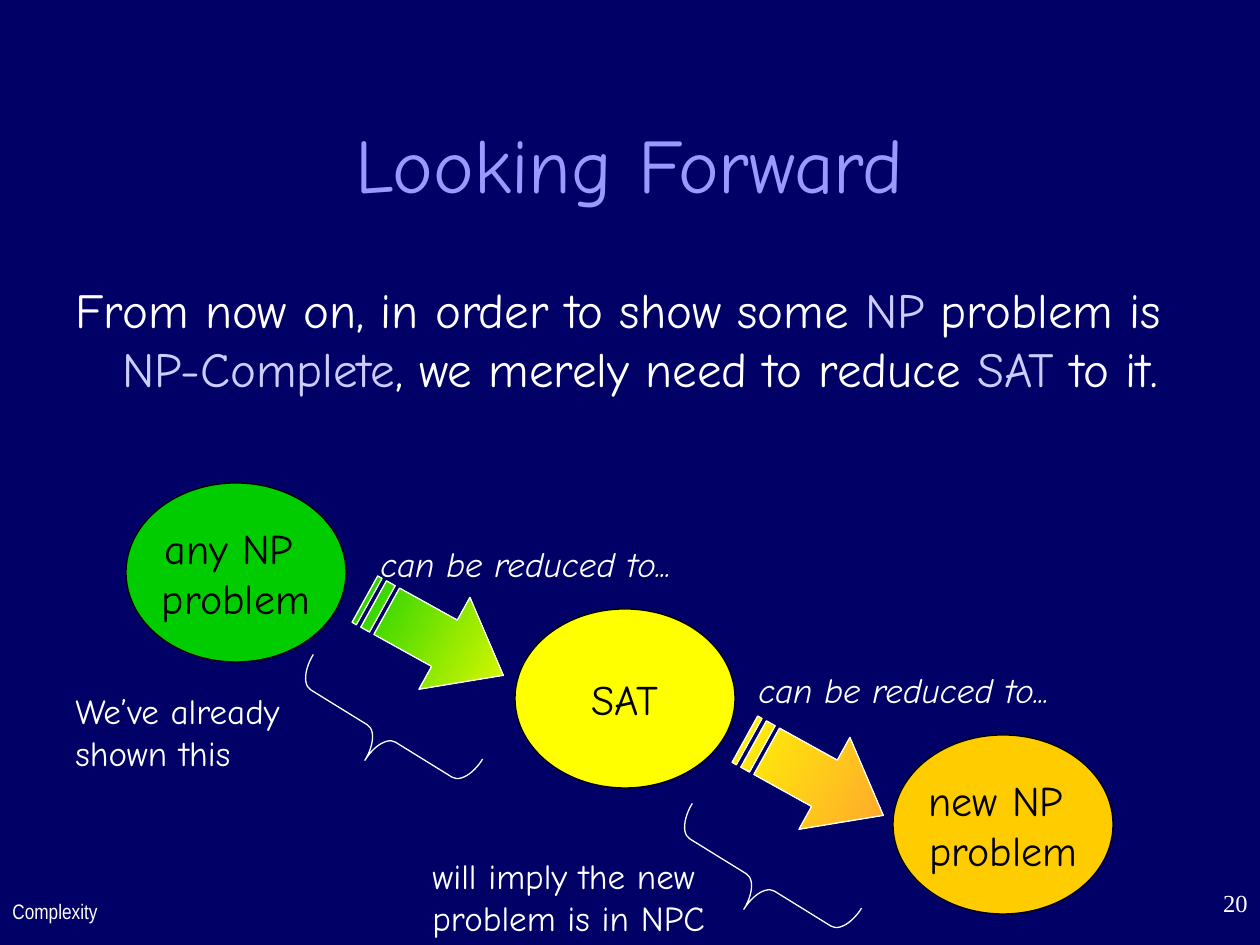
from pptx import Presentation
from pptx.dml.color import RGBColor
from pptx.enum.shapes import MSO_SHAPE
from pptx.enum.text import MSO_ANCHOR, MSO_AUTO_SIZE, PP_ALIGN
from pptx.oxml.xmlchemy import OxmlElement
from pptx.util import Pt

SCALE = 914400 / 126
FONT = "Comic Neue"
COLOURS = {
    "navy": "000066", "title": "9999FF", "term": "CCCCFF", "white": "FFFFFF",
    "black": "000000", "green": "00CC00", "yellow": "FFFF00",
    "gold": "FFCC00", "orange": "FF9933",
}
NODE_SIZE = (220, 179)
ARROW_SIZE = (158, 105)
BRACE_SIZE = (63, 199)


def emu(pixels):
    """Turn pixels into EMU."""
    return round(pixels * SCALE)


def colour(name):
    """Look up a named colour."""
    return RGBColor.from_string(COLOURS[name])


def place(shape, box):
    """Move and size a shape to a pixel box."""
    shape.left, shape.top, shape.width, shape.height = map(emu, box)


def format_runs(text_frame, size, colour_name, font=FONT, italic=None):
    """Give every run the same font."""
    for paragraph in text_frame.paragraphs:
        for run in paragraph.runs:
            run.font.name, run.font.size = font, Pt(size)
            run.font.italic = italic
            run.font.color.rgb = colour(colour_name)


def outline(shape, colour_name):
    """Give a shape a thin line and no shadow."""
    shape.shadow.inherit = False
    shape.line.color.rgb = colour(colour_name)
    shape.line.width = Pt(0.74)


def add_title(slide, box, text):
    """Fill the title placeholder."""
    title = slide.shapes.title
    place(title, box)
    title.text_frame.text = text
    title.text_frame.auto_size = MSO_AUTO_SIZE.NONE
    title.text_frame.vertical_anchor = MSO_ANCHOR.MIDDLE
    format_runs(title.text_frame, 44, "title")


def add_statement(slide, box, parts):
    """Fill the body placeholder; every second part is a highlighted term."""
    body = slide.placeholders[1]
    place(body, box)
    body.text_frame.auto_size = MSO_AUTO_SIZE.NONE
    paragraph = body.text_frame.paragraphs[0]
    for part in parts:
        paragraph.add_run().text = part
    format_runs(body.text_frame, 28, "white")
    for run in paragraph.runs[1::2]:
        run.font.color.rgb = colour("term")
    paragraph.space_before = Pt(7)
    properties = paragraph._p.get_or_add_pPr()
    properties.set("marL", str(emu(47)))
    properties.set("indent", str(-emu(47)))
    properties.append(OxmlElement("a:buNone"))


def add_label(slide, box, text, size=20, font=FONT, italic=None,
              align=PP_ALIGN.LEFT, before=12.5):
    """Add a wrapped white text box."""
    label = slide.shapes.add_textbox(*map(emu, box))
    label.text_frame.word_wrap = True
    label.text_frame.text = text
    paragraph = label.text_frame.paragraphs[0]
    paragraph.alignment = align
    paragraph.space_before = Pt(before)
    format_runs(label.text_frame, size, "white", font, italic)


def add_node(slide, left, top, text, fill):
    """Add an ellipse naming a problem."""
    node = slide.shapes.add_shape(
        MSO_SHAPE.OVAL, *map(emu, (left, top, *NODE_SIZE)))
    node.fill.solid()
    node.fill.fore_color.rgb = colour(fill)
    outline(node, "black")
    frame = node.text_frame
    frame.text = text
    frame.word_wrap = False
    frame.vertical_anchor = MSO_ANCHOR.MIDDLE
    for paragraph in frame.paragraphs:
        paragraph.alignment = PP_ALIGN.CENTER
    format_runs(frame, 24, "black")


def add_striped_arrow(slide, left, top, start, end):
    """Add a slanted arrow with two stripes at its tail and a gradient."""
    width, height = ARROW_SIZE
    upper, lower, neck = height / 4, height * 3 / 4, width * 0.575
    tail = width * 5 / 32
    contours = [[(tail, upper), (neck, upper), (neck, 0), (width, height / 2),
                 (neck, height), (neck, lower), (tail, lower)]]
    for first, last in ((0, 1), (2, 4)):
        near, far = width * first / 32, width * last / 32
        contours.append([(near, upper), (far, upper),
                         (far, lower), (near, lower)])
    builder = slide.shapes.build_freeform(*contours[0][0], scale=SCALE)
    for contour in contours:
        builder.move_to(*contour[0])
        builder.add_line_segments(contour[1:], close=True)
    arrow = builder.convert_to_shape(emu(left), emu(top))
    outline(arrow, "white")
    arrow.fill.gradient()
    arrow.fill.gradient_angle = 0
    for stop, name in zip(arrow.fill.gradient_stops, (start, end)):
        stop.color.rgb = colour(name)
    arrow.rotation = 29


def add_brace(slide, left, top):
    """Add a slanted brace below an arrow."""
    brace = slide.shapes.add_shape(
        MSO_SHAPE.LEFT_BRACE, *map(emu, (left, top, *BRACE_SIZE)))
    brace.adjustments[0] = 0.26
    brace.fill.background()
    outline(brace, "white")
    brace.rotation = 301.7


def add_reduction(slide, arrow, label, brace, note, note_text, colours):
    """Add one reduction step: arrow, caption, brace and note."""
    add_striped_arrow(slide, *arrow, *colours)
    add_label(slide, (*label, 368, 55), "can be reduced to...", italic=True)
    add_brace(slide, *brace)
    add_label(slide, (*note, 315, 97), note_text)


def add_footer(slide, course, number):
    """Add the course name and the slide number."""
    add_label(slide, (0, 892, 147, 53), course, 12, "Arial Narrow", before=0)
    add_label(slide, (998, 882, 262, 63), number, 14, "Times New Roman",
              align=PP_ALIGN.RIGHT, before=0)


def main():
    """Build the slide and save it."""
    presentation = Presentation()
    presentation.slide_width, presentation.slide_height = emu(1260), emu(945)
    slide = presentation.slides.add_slide(presentation.slide_layouts[1])
    slide.background.fill.solid()
    slide.background.fill.fore_color.rgb = colour("navy")
    add_title(slide, (94, 84, 1071, 158), "Looking Forward")
    add_statement(slide, (63, 273, 1134, 210), [
        "From now on, in order to show some ", "NP", " problem is ",
        "NP-Complete", ", we merely need to reduce ", "SAT", " to it."])
    for node in ((126, 483, "any NP \nproblem", "green"),
                 (515, 609, "SAT", "yellow"),
                 (893, 735, "new NP \nproblem", "gold")):
        add_node(slide, *node)
    add_reduction(slide, (355, 585), (368, 536), (350, 634), (63, 683),
                  "We’ve already shown this", ("green", "yellow"))
    add_reduction(slide, (735, 725), (746, 662), (729, 783), (420, 848),
                  "will imply the new problem is in NPC",
                  ("yellow", "orange"))
    add_footer(slide, "Complexity", "20")
    presentation.save("out.pptx")


main()
